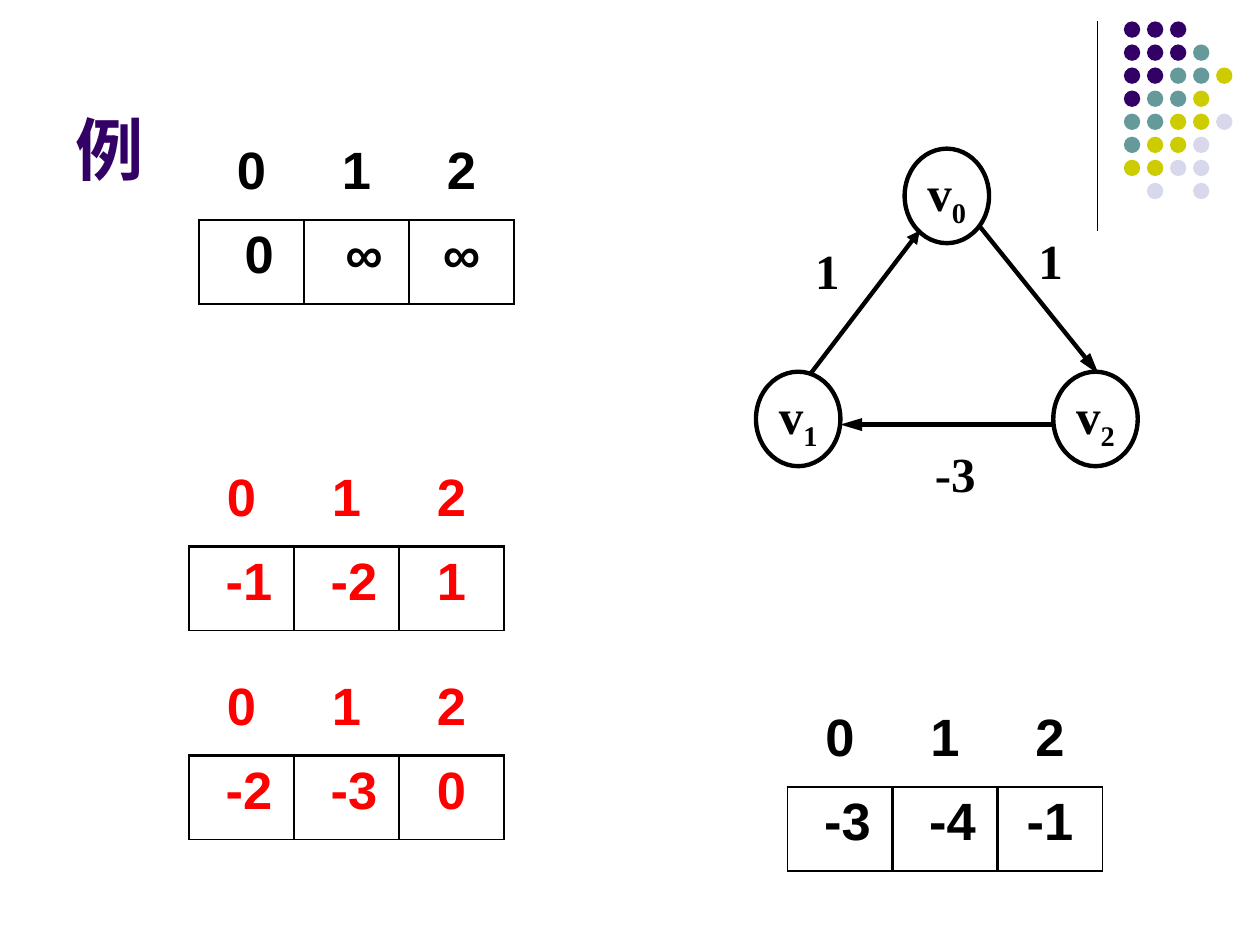
from dataclasses import dataclass

from lxml import etree
from pptx import Presentation
from pptx import util as u
from pptx.dml.color import RGBColor
from pptx.enum import shapes, text
from pptx.oxml import ns

INK, RED, PURPLE = "000000", "FF0000", "330066"
DOT_COLOURS = {"P": PURPLE, "T": "669999", "Y": "CCCC00", "L": "D8D8EC"}
DOT_ROWS = ["PPP", "PPPT", "PPTTY", "PTTY", "TTYYL", "TYYL", "YYLL", " L L"]
CELL_WIDTH, CELL_HEIGHT = 2.5 / 3, 2 / 3
THIN, THICK = 1.08, 1.47
NUDGE = 0.12  # extra left margin that shifts some centred values


@dataclass
class Node:
    left: float
    top: float
    index: str


@dataclass
class Edge:
    start: tuple[float, float]
    end: tuple[float, float]
    head_length: str


@dataclass
class Label:
    left: float
    top: float
    width: float
    words: str


@dataclass
class DistanceTable:
    left: float
    top: float
    colour: str
    values: tuple[str, str, str]


NODES = [Node(7.18, 1.18, "0"), Node(6, 2.95, "1"), Node(8.36, 2.95, "2")]
EDGES = [
    Edge((6.43, 2.97), (7.3, 1.83), "med"),
    Edge((7.77, 1.79), (8.72, 2.97), "lg"),
    Edge((8.36, 3.37), (6.67, 3.37), "lg"),
]
WEIGHTS = [
    Label(8.24, 1.83, 0.28, "1"),
    Label(6.47, 1.91, 0.28, "1"),
    Label(7.42, 3.52, 0.58, "-3"),
]
TABLES = [
    DistanceTable(1.58, 1.08, INK, ("0", "∞", "∞")),
    DistanceTable(1.5, 3.67, RED, ("-1", "-2", "1")),
    DistanceTable(1.5, 5.33, RED, ("-2", "-3", "0")),
    DistanceTable(6.25, 5.58, INK, ("-3", "-4", "-1")),
]


def rgb(colour: str) -> RGBColor:
    return RGBColor.from_string(colour)


def apply(target, formats: dict) -> None:
    for name, value in formats.items():
        setattr(target, name, value)


def add_span(para, words: str, size: float, colour: str, face: str):
    span = para.add_run()
    span.text = words
    apply(span.font, {"size": u.Pt(size), "bold": True, "name": face})
    span.font.color.rgb = rgb(colour)
    return span


def set_frame(frame, margin: float, anchor) -> None:
    apply(frame, {"word_wrap": True, "vertical_anchor": anchor,
                  "margin_left": u.Inches(margin), "margin_right": u.Inches(margin),
                  "margin_top": u.Inches(margin / 2),
                  "margin_bottom": u.Inches(margin / 2)})


def add_words(page, label: Label, height: float, size: float, colour: str,
              face: str, margin: float, anchor) -> None:
    box = page.shapes.add_textbox(u.Inches(label.left), u.Inches(label.top),
                                  u.Inches(label.width), u.Inches(height))
    set_frame(box.text_frame, margin, anchor)
    add_span(box.text_frame.paragraphs[0], label.words, size, colour, face)


def add_oval(page, left: float, top: float, width: float, height: float):
    oval = page.shapes.add_shape(shapes.MSO_SHAPE.OVAL, u.Inches(left), u.Inches(top),
                                 u.Inches(width), u.Inches(height))
    oval.shadow.inherit = False
    return oval


def add_line(page, start, end, width: float):
    line = page.shapes.add_connector(shapes.MSO_CONNECTOR.STRAIGHT,
                                     *map(u.Inches, (*start, *end)))
    line.line.color.rgb = rgb(INK)
    line.line.width = u.Pt(width)
    etree.SubElement(line._element.spPr, ns.qn("a:effectLst"))
    return line


def add_dots(page) -> None:
    step = 0.183
    for row, codes in enumerate(DOT_ROWS):
        for column, code in enumerate(codes):
            if code in DOT_COLOURS:
                dot = add_oval(page, 8.92 + column * step, 0.17 + row * step, 0.13, 0.13)
                dot.fill.solid()
                dot.fill.fore_color.rgb = rgb(DOT_COLOURS[code])
                dot.line.fill.background()


def add_node(page, node: Node) -> None:
    oval = add_oval(page, node.left, node.top, 0.67, 0.75)
    oval.fill.background()
    oval.line.color.rgb = rgb(INK)
    oval.line.width = u.Pt(2.5)
    set_frame(oval.text_frame, 0, text.MSO_ANCHOR.MIDDLE)
    para = oval.text_frame.paragraphs[0]
    para.alignment = text.PP_ALIGN.CENTER
    add_span(para, "v", 28, INK, "Times New Roman")
    index = add_span(para, node.index, 28, INK, "Times New Roman")
    index.font._element.set("baseline", "-25000")


def add_edge(page, edge: Edge) -> None:
    line = add_line(page, edge.start, edge.end, 2.5)
    etree.SubElement(line.line._get_or_add_ln(), ns.qn("a:tailEnd"),
                     type="triangle", w="med", len=edge.head_length)


def set_borders(cell, widths: dict) -> None:
    properties = cell._tc.get_or_add_tcPr()
    for side in "LRTB":
        width = widths.get(side)
        border = etree.SubElement(properties, ns.qn(f"a:ln{side}"))
        if width is None:
            etree.SubElement(border, ns.qn("a:noFill"))
        else:
            border.set("w", str(u.Pt(width)))
            fill = etree.SubElement(border, ns.qn("a:solidFill"))
            etree.SubElement(fill, ns.qn("a:srgbClr"), val=INK)


def add_distances(page, distances: DistanceTable) -> None:
    table = page.shapes.add_table(
        2, 3, u.Inches(distances.left), u.Inches(distances.top),
        u.Inches(3 * CELL_WIDTH), u.Inches(2 * CELL_HEIGHT)).table
    apply(table, {"first_row": False, "horz_banding": False})
    for column in table.columns:
        column.width = u.Inches(CELL_WIDTH)
    for row, words in enumerate([("0", "1", "2"), distances.values]):
        table.rows[row].height = u.Inches(CELL_HEIGHT)
        for column, word in enumerate(words):
            cell = table.cell(row, column)
            borders = {"B": THICK}
            if row == 1:
                borders = {"L": THICK if column else THIN, "T": THICK,
                           "R": THICK if column < 2 else THIN, "B": THIN}
                if column < 2:
                    cell.margin_left = u.Inches(0.1 + NUDGE)
            set_borders(cell, borders)
            cell.fill.background()
            para = cell.text_frame.paragraphs[0]
            para.alignment = text.PP_ALIGN.CENTER
            add_span(para, word, 30, distances.colour, "Arial")


def main() -> None:
    deck = Presentation()
    apply(deck, {"slide_width": u.Inches(10), "slide_height": u.Inches(7.5)})
    page = deck.slides.add_slide(deck.slide_layouts[6])

    # Corner decoration and title
    add_line(page, (8.71, 0.17), (8.71, 1.83), 0.75)
    add_dots(page)
    add_words(page, Label(0.5, 0.13, 8.25, "例"), 1.42, 39, PURPLE, "Arial",
              0.1, text.MSO_ANCHOR.BOTTOM)

    # Weighted graph
    for node in NODES:
        add_node(page, node)
    for edge in EDGES:
        add_edge(page, edge)
    for weight in WEIGHTS:
        add_words(page, weight, 0.47, 28, INK, "Times New Roman", 0, text.MSO_ANCHOR.TOP)

    # Distance tables
    for distances in TABLES:
        add_distances(page, distances)

    deck.save("out.pptx")


if __name__ == "__main__":
    main()
